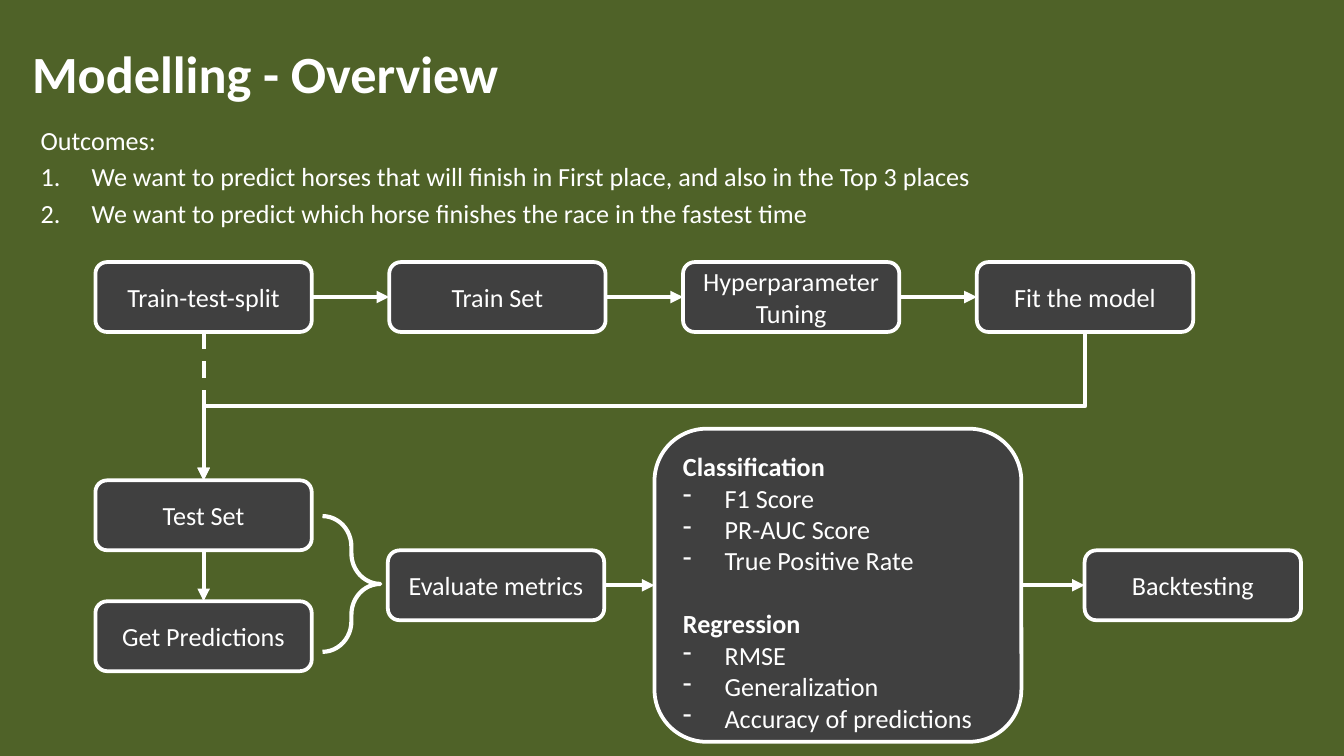
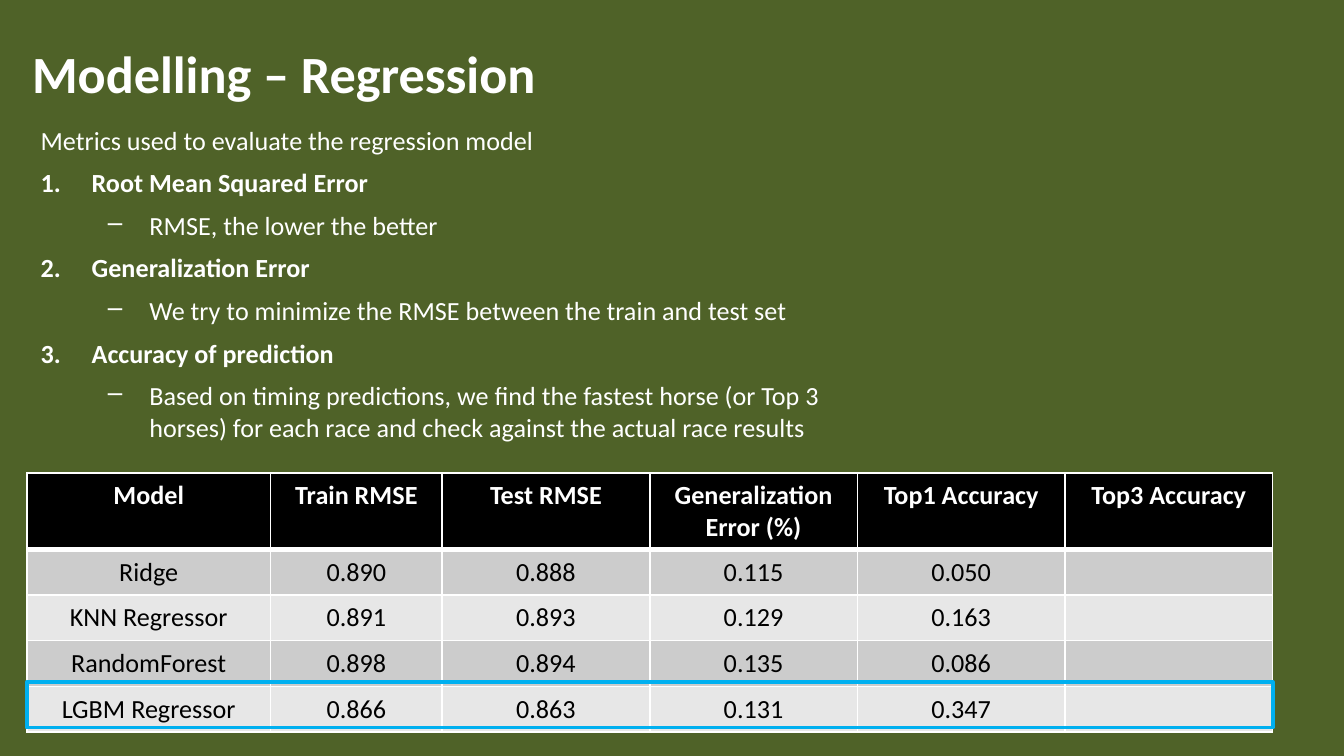
from lxml.etree import SubElement
from pptx import Presentation
from pptx.dml.color import RGBColor
from pptx.enum.dml import MSO_LINE as Dash
from pptx.enum.shapes import MSO_CONNECTOR as Link, MSO_SHAPE as Shape
from pptx.enum.text import MSO_ANCHOR as Anchor, PP_ALIGN as Align
from pptx.oxml.ns import qn
from pptx.util import Inches, Pt

GREEN, CHARCOAL, WHITE, BLACK = "4F6228", "404040", "FFFFFF", "000000"
HIGHLIGHT, BANDS = "00B0F0", ("E7E7E7", "CCCCCC")
WIDTH = Inches(10)
HEIGHT = WIDTH * 9 // 16
UNIT = WIDTH // 100
TOP_SITE, LEFT_SITE, BOTTOM_SITE, RIGHT_SITE = range(4)


def paint(fill, color):
    fill.solid()
    fill.fore_color.rgb = RGBColor.from_string(color)


def write(frame, text, size=14, color=WHITE, bold=False, align=Align.LEFT,
          before=0, bullet=None, indent=0, hang=0, level=0):
    started = bool(frame.paragraphs[0].runs)
    para = frame.add_paragraph() if started else frame.paragraphs[0]
    para.alignment = align
    para.level = level
    if started:
        para.space_before = Pt(before)
    if bullet:
        props = para._p.get_or_add_pPr()
        props.set("marL", str(Inches(indent)))
        props.set("indent", str(-Inches(hang)))
        if bullet == "1.":
            SubElement(props, qn("a:buAutoNum"), type="arabicPeriod")
        else:
            SubElement(props, qn("a:buChar"), char=bullet)
    span = para.add_run()
    span.text = text
    span.font.name = "Calibri"
    span.font.size = Pt(size)
    span.font.bold = bold
    paint(span.font.fill, color)


NUMBER = dict(bullet="1.", indent=0.38, hang=0.38)
DETAIL = dict(bullet="–", indent=0.81, hang=0.31, level=1)
METRIC = dict(bullet="-", indent=0.31, hang=0.31)

deck = Presentation()
deck.slide_width, deck.slide_height = WIDTH, HEIGHT

contents = [
    ("Modelling - Overview", (2.04, 8.74, 82.5, 46.9), 2.8, [
        ("Outcomes:", {}),
        ("We want to predict horses that will finish in First place, "
         "and also in the Top 3 places", NUMBER),
        ("We want to predict which horse finishes the race in the fastest time", NUMBER),
    ]),
    ("Modelling – Regression", (2.04, 8.74, 62.9, 25.7), 6, [
        ("Metrics used to evaluate the regression model", {}),
        ("Root Mean Squared Error", dict(NUMBER, bold=True)),
        ("RMSE, the lower the better", DETAIL),
        ("Generalization Error", dict(NUMBER, bold=True)),
        ("We try to minimize the RMSE between the train and test set", DETAIL),
        ("Accuracy of prediction", dict(NUMBER, bold=True)),
        ("Based on timing predictions, we find the fastest horse (or Top 3 horses) "
         "for each race and check against the actual race results", DETAIL),
    ]),
]
pages = []
for title, body_area, gap, lines in contents:
    page = deck.slides.add_slide(deck.slide_layouts[6])
    paint(page.background.fill, GREEN)
    heading, body = [
        page.shapes.add_textbox(*[round(UNIT * value) for value in area]).text_frame
        for area in ((1.4, 1.2, 90.2, 8.4), body_area)]
    heading.word_wrap = body.word_wrap = True
    heading.vertical_anchor = Anchor.MIDDLE
    write(heading, title, size=28, bold=True)
    for text, style in lines:
        write(body, text, before=gap, **style)
    pages.append(page)
overview, regression = pages

STEP_WIDTH, STEP_HEIGHT, STEP_PITCH = 16.1, 5.2, 21.86
columns = [7.1 + STEP_PITCH * index for index in range(4)]
steps = [
    ("Train-test-split", columns[0], 19.5),
    ("Train Set", columns[1], 19.5),
    ("Hyperparameter Tuning", columns[2], 19.5),
    ("Fit the model", columns[3], 19.5),
    ("Test Set", columns[0], 35.74),
    ("Get Predictions", columns[0], 44.74),
    ("Evaluate metrics", 28.86, 40.95),
    ("Backtesting", 80.7, 40.95),
]
areas = [(name, (left, top, STEP_WIDTH, STEP_HEIGHT)) for name, left, top in steps]
areas.append(("Metrics", (48.7, 31.9, 27.3, 23.3)))
boxes = {}
for name, area in areas:
    box = overview.shapes.add_shape(
        Shape.ROUNDED_RECTANGLE, *[round(UNIT * value) for value in area])
    box.shadow.inherit = False
    paint(box.fill, CHARCOAL)
    paint(box.line.fill, WHITE)
    box.line.width = Pt(2)
    box.text_frame.word_wrap = True
    box.text_frame.vertical_anchor = Anchor.MIDDLE
    if name != "Metrics":
        write(box.text_frame, name, align=Align.CENTER)
    boxes[name] = box

metrics = boxes["Metrics"].text_frame
metrics.vertical_anchor = Anchor.TOP
for group, names in [
    ("Classification", ["F1 Score", "PR-AUC Score", "True Positive Rate"]),
    ("Regression", ["RMSE", "Generalization", "Accuracy of predictions"]),
]:
    write(metrics, group, bold=True, before=17)
    for name in names:
        write(metrics, name, **METRIC)

brace = overview.shapes.add_shape(
    Shape.RIGHT_BRACE, *[round(UNIT * value) for value in (24, 38.4, 4.3, 10.1)])
brace.adjustments[0] = 0.53
brace.shadow.inherit = False
brace.fill.background()
paint(brace.line.fill, WHITE)
brace.line.width = Pt(2.25)

arrows = []
for start, end, start_site, end_site in [
    ("Train-test-split", "Train Set", RIGHT_SITE, LEFT_SITE),
    ("Train Set", "Hyperparameter Tuning", RIGHT_SITE, LEFT_SITE),
    ("Hyperparameter Tuning", "Fit the model", RIGHT_SITE, LEFT_SITE),
    ("Evaluate metrics", "Metrics", RIGHT_SITE, LEFT_SITE),
    ("Metrics", "Backtesting", RIGHT_SITE, LEFT_SITE),
    ("Test Set", "Get Predictions", BOTTOM_SITE, TOP_SITE),
    ("Train-test-split", "Test Set", BOTTOM_SITE, TOP_SITE),
]:
    arrow = overview.shapes.add_connector(Link.STRAIGHT, 0, 0, 0, 0)
    arrow.begin_connect(boxes[start], start_site)
    arrow.end_connect(boxes[end], end_site)
    arrows.append(arrow)
arrows[-1].line.dash_style = Dash.DASH

fit, test = boxes["Fit the model"], boxes["Test Set"]
drop = test.top - fit.top - fit.height
reach = fit.left - test.left
left = (fit.left + test.left + fit.width - drop) // 2
top = (fit.top + fit.height + test.top - reach) // 2
elbow = overview.shapes.add_connector(Link.ELBOW, left, top, left + drop, top + reach)
elbow._element.spPr.find(qn("a:xfrm")).set("rot", str(90 * 60000))
arrows.append(elbow)
for arrow in arrows:
    paint(arrow.line.fill, WHITE)
    arrow.line.width = Pt(2.25)
    SubElement(arrow.line._get_or_add_ln(), qn("a:tailEnd"), type="triangle")
    SubElement(arrow._element.spPr, qn("a:effectLst"))

results = [
    ("Model", "Train RMSE", "Test RMSE", "Generalization Error (%)",
     "Top1 Accuracy", "Top3 Accuracy"),
    ("Ridge", "0.890", "0.888", "0.115", "0.050", ""),
    ("KNN Regressor", "0.891", "0.893", "0.129", "0.163", ""),
    ("RandomForest", "0.898", "0.894", "0.135", "0.086", ""),
    ("LGBM Regressor", "0.866", "0.863", "0.131", "0.347", ""),
]
table_area = [round(UNIT * value) for value in (2, 35.2, 92.7, 19.2)]
table = regression.shapes.add_table(len(results), len(results[0]), *table_area).table
for column, width in zip(table.columns, (18.14, 12.76, 15.45, 15.45, 15.45, 15.45)):
    column.width = round(UNIT * width)
for row_index, values in enumerate(results):
    header = row_index == 0
    table.rows[row_index].height = round(UNIT * (5.6 if header else 3.4))
    for column_index, value in enumerate(values):
        cell = table.cell(row_index, column_index)
        for side in ("L", "R", "T", "B"):
            thick = (row_index, side) in ((0, "B"), (1, "T"))
            border = SubElement(cell._tc.get_or_add_tcPr(), qn("a:ln" + side),
                                w=str(Pt(3 if thick else 1)))
            SubElement(SubElement(border, qn("a:solidFill")), qn("a:srgbClr"), val=WHITE)
        paint(cell.fill, BLACK if header else BANDS[row_index % 2])
        cell.vertical_anchor = Anchor.TOP if header else Anchor.MIDDLE
        if value:
            write(cell.text_frame, value, color=WHITE if header else BLACK,
                  bold=header, align=Align.CENTER)
        else:
            cell.margin_top = cell.margin_bottom = 0

best = regression.shapes.add_shape(
    Shape.RECTANGLE, *[round(UNIT * value) for value in (2, 50.74, 92.7, 3.4)])
best.shadow.inherit = False
best.fill.background()
paint(best.line.fill, HIGHLIGHT)
best.line.width = Pt(2)

deck.save("out.pptx")
